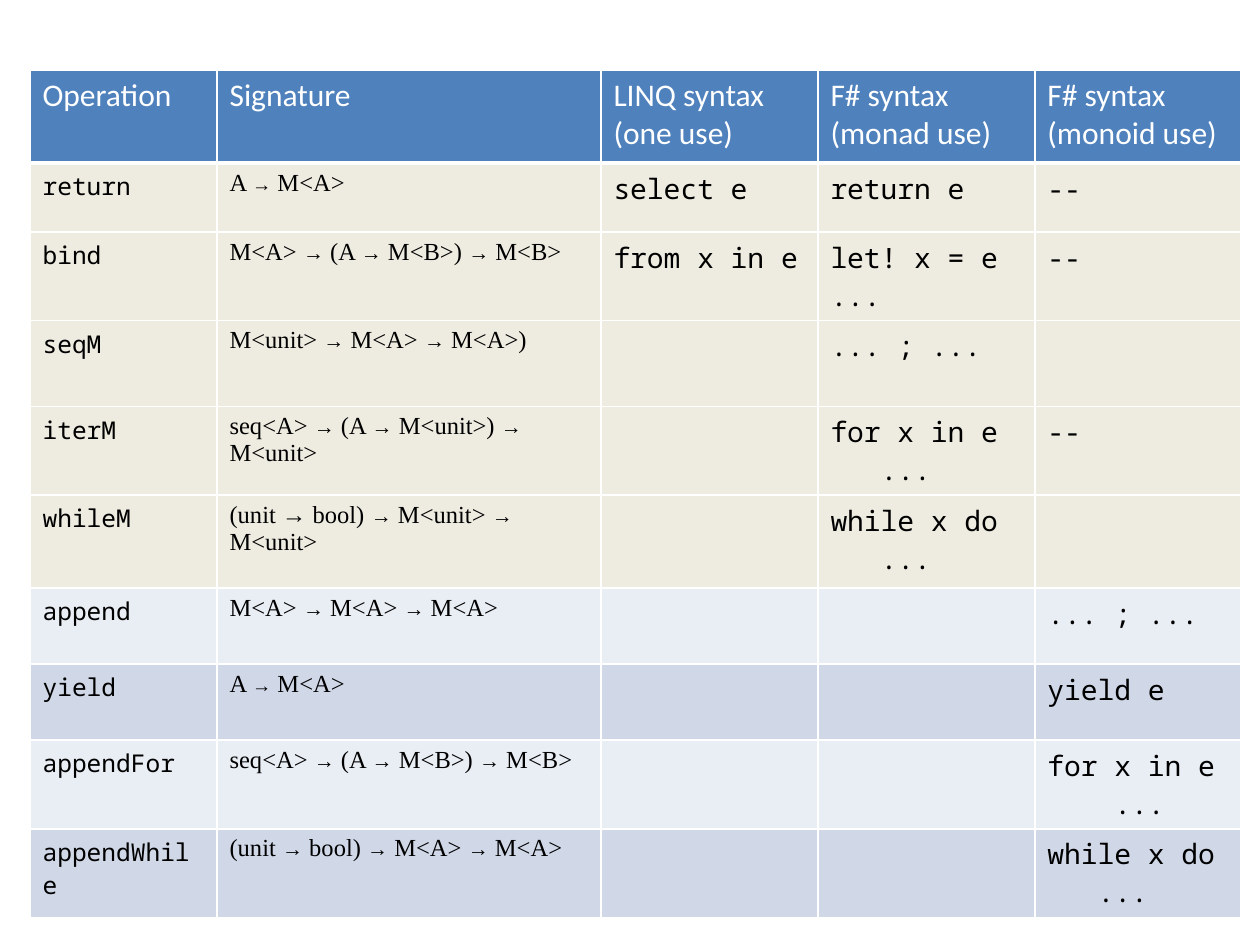
from pptx import Presentation
from pptx import util as u
from pptx.dml.color import RGBColor
from pptx.oxml import ns, xmlchemy

EMU_PER_PX = 914400 // 126

COLORS = {
    "header": "4F81BD",
    "shared": "EEECE1",
    "light": "E9EDF4",
    "dark": "D0D8E8",
    "white": "FFFFFF",
    "black": "000000",
}
HEADING = {"name": "Calibri", "size": u.Pt(18), "bold": False}
OPERATION = {"name": "Noto Sans Mono", "size": u.Pt(14)}
SIGNATURE = {"name": "Times New Roman", "size": u.Pt(14)}
CODE = {"name": "Noto Sans Mono", "size": u.Pt(16)}

COLUMN_WIDTHS = [187, 384, 217, 217, 206]
HEADER_HEIGHT = 93
HEADINGS = ["Operation", "Signature", "LINQ syntax (one use)",
            "F# syntax\n(monad use)", "F# syntax\n(monoid use)"]

# height, fill, arrow sizes, operation, signature, LINQ, monad and monoid syntax
OPERATIONS = [
    (69, "shared", [11], "return", "A → M<A>", "select e", "return e", "--"),
    (86, "shared", [12, 12, 12], "bind", "M<A> → (A → M<B>) → M<B>",
     "from x in e", "let! x = e\n...", "--"),
    (86, "shared", [12, 12], "seqM", "M<unit> → M<A> → M<A>)", "", "... ; ...", ""),
    (69, "shared", [12, 12, 12], "iterM", "seq<A> → (A → M<unit>) → M<unit>",
     "", "for x in e\n   ...", "--"),
    (93, "shared", [14, 12, 12], "whileM", "(unit → bool) → M<unit> → M<unit>",
     "", "while x do\n   ...", ""),
    (76, "light", [12, 12], "append", "M<A> → M<A> → M<A>", "", "", "... ; ..."),
    (76, "dark", [11], "yield", "A → M<A>", "", "", "yield e"),
    (76, "light", [12, 12, 12], "appendFor", "seq<A> → (A → M<B>) → M<B>",
     "", "", "for x in e\n    ..."),
    (76, "dark", [12, 12, 12], "appendWhile", "(unit → bool) → M<A> → M<A>",
     "", "", "while x do\n   ..."),
]


def px(length):
    return u.Emu(length * EMU_PER_PX)


def rgb(color):
    return RGBColor.from_string(COLORS[color])


def add_run(paragraph, wording, formats, color="black"):
    run = paragraph.add_run()
    run.text = wording
    for attribute, value in formats.items():
        setattr(run.font, attribute, value)
    run.font.color.rgb = rgb(color)


def write_lines(cell, wording, formats, color="black"):
    if not wording:
        return
    for number, line in enumerate(wording.split("\n")):
        frame = cell.text_frame
        paragraph = frame.add_paragraph() if number else frame.paragraphs[0]
        add_run(paragraph, line, formats, color)


def write_signature(cell, signature, arrow_sizes):
    """Write a type signature whose arrows have their own sizes."""
    paragraph = cell.text_frame.paragraphs[0]
    first, *others = signature.split("→")
    add_run(paragraph, first, SIGNATURE)
    for size, part in zip(arrow_sizes, others):
        add_run(paragraph, "→", {**SIGNATURE, "size": u.Pt(size)})
        add_run(paragraph, part, SIGNATURE)


def paint_cell(cell, color, bottom_width=1):
    """Fill the cell and rule its four sides in white."""
    cell.fill.solid()
    cell.fill.fore_color.rgb = rgb(color)
    properties = cell._tc.get_or_add_tcPr()
    sides = {"lnL": 1, "lnR": 1, "lnT": 1, "lnB": bottom_width}
    for position, (side, width) in enumerate(sides.items()):
        line = xmlchemy.OxmlElement(f"a:{side}")
        line.set("w", str(u.Pt(width)))
        fill = line.makeelement(ns.qn("a:solidFill"))
        shade = line.makeelement(ns.qn("a:srgbClr"), {"val": COLORS["white"]})
        fill.append(shade)
        line.append(fill)
        properties.insert(position, line)


def add_operations_table(slide):
    heights = [HEADER_HEIGHT] + [operation[0] for operation in OPERATIONS]
    table = slide.shapes.add_table(
        len(heights), len(COLUMN_WIDTHS), px(30), px(70),
        px(sum(COLUMN_WIDTHS)), px(sum(heights))).table
    table.horz_banding = False
    for column, width in zip(table.columns, COLUMN_WIDTHS):
        column.width = px(width)
    for row, height in zip(table.rows, heights):
        row.height = px(height)
    return table


def fill_header(row):
    for cell, heading in zip(row.cells, HEADINGS):
        paint_cell(cell, "header", bottom_width=3)
        write_lines(cell, heading, HEADING, "white")


def fill_operation(row, operation):
    _, color, arrow_sizes, name, signature, *syntaxes = operation
    cells = list(row.cells)
    for cell in cells:
        paint_cell(cell, color)
    write_lines(cells[0], name, OPERATION)
    write_signature(cells[1], signature, arrow_sizes)
    for cell, syntax in zip(cells[2:], syntaxes):
        write_lines(cell, syntax, CODE)


def main():
    deck = Presentation()
    deck.slide_width, deck.slide_height = px(1260), px(945)
    slide = deck.slides.add_slide(deck.slide_layouts[6])
    header, *rows = add_operations_table(slide).rows
    fill_header(header)
    for row, operation in zip(rows, OPERATIONS):
        fill_operation(row, operation)
    deck.save("out.pptx")


if __name__ == "__main__":
    main()
